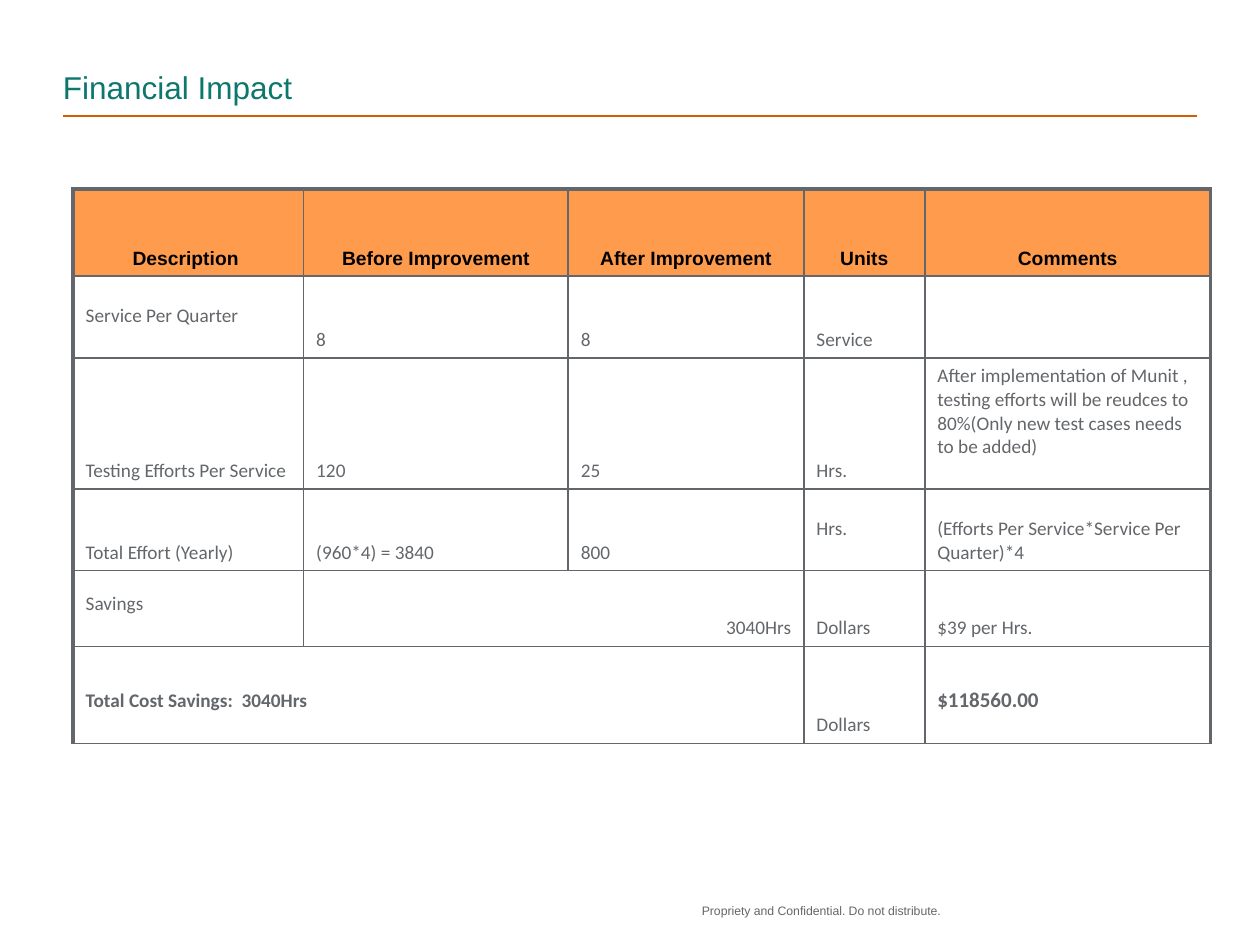
from lxml.etree import SubElement
from pptx import Presentation
from pptx.dml.color import RGBColor
from pptx.enum.shapes import MSO_CONNECTOR
from pptx.enum.text import MSO_ANCHOR as Anchor, PP_ALIGN as Align
from pptx.oxml.ns import qn
from pptx.util import Inches, Pt

GREY = RGBColor(0x63, 0x66, 0x6A)
TEAL = RGBColor(0x0D, 0x77, 0x6E)
RUST = RGBColor(0xD4, 0x5D, 0x00)
ORANGE = RGBColor(0xFF, 0x9B, 0x4C)
BLACK = RGBColor(0, 0, 0)

COLUMN_WIDTHS = [1.83, 2.1, 1.87, 0.96, 2.27]
ROW_HEIGHTS = [0.69, 0.65, 1.04, 0.65, 0.6, 0.77]
ROWS = [
    ["Description\u00a0", "Before Improvement", "After Improvement", "Units", "Comments"],
    ["Service Per Quarter", "8", "8", "Service", ""],
    ["Testing Efforts Per Service", "120", "25", "Hrs.",
     "After implementation of Munit , testing efforts will be reudces to "
     "80%(Only new test cases needs to be added)"],
    ["Total Effort (Yearly)", "(960*4) = 3840", "800", "Hrs.",
     "(Efforts Per Service*Service Per Quarter)*4"],
    ["Savings", "3040Hrs", "", "Dollars", "$39 per Hrs."],
    ["Total Cost Savings:  3040Hrs", "", "", "Dollars", "$118560.00"],
]
MERGES = [((4, 1), (4, 2)), ((5, 0), (5, 2))]
RAISED_CELLS = {(1, 0), (2, 4), (3, 3), (4, 0), (5, 0), (5, 4)}
BOLD_CELLS = {(5, 0), (5, 4)}


def add_run(paragraph, text, size, color, font="Arial", bold=False):
    """Add one formatted run to a paragraph."""
    run = paragraph.add_run()
    run.text = text
    run.font.name, run.font.size, run.font.bold = font, Pt(size), bold
    run.font.color.rgb = color


def add_label(slide, box, text, size, color, anchor=Anchor.TOP, wrap=True):
    """Add a text box without insets."""
    frame = slide.shapes.add_textbox(*map(Inches, box)).text_frame
    frame.margin_left = frame.margin_right = frame.margin_top = frame.margin_bottom = 0
    frame.word_wrap = wrap
    frame.vertical_anchor = anchor
    add_run(frame.paragraphs[0], text, size, color)


def add_heading(slide, left, top, width, height):
    """Add the title with the rule beneath it."""
    add_label(slide, (left, top, width, height), "Financial Impact", 18, TEAL, Anchor.BOTTOM)
    rule_top = Inches(top + height + 0.08)
    rule = slide.shapes.add_connector(
        MSO_CONNECTOR.STRAIGHT, Inches(left), rule_top, Inches(left + width), rule_top)
    rule.line.color.rgb, rule.line.width = RUST, Pt(1)
    SubElement(rule._element.spPr, qn("a:effectLst"))


def set_borders(cell, widths):
    """Draw the cell's left, right, top and bottom edges in grey."""
    properties = cell._tc.get_or_add_tcPr()
    for side, width in zip("LRTB", widths):
        line = SubElement(properties, qn(f"a:ln{side}"), w=str(Pt(width)))
        fill = SubElement(line, qn("a:solidFill"))
        SubElement(fill, qn("a:srgbClr"), val=str(GREY))


def fill_cell(cell, row, column, text):
    """Write and format one cell of the impact table."""
    header = row == 0
    last = len(COLUMN_WIDTHS) - 1
    set_borders(cell, [2.25 if column == 0 else 1, 2.25 if column == last else 1,
                       2.25 if header else 1, 1])
    cell.vertical_anchor = Anchor.BOTTOM
    cell.margin_bottom = Inches(0.24 if (row, column) in RAISED_CELLS else 0.05)
    paragraph = cell.text_frame.paragraphs[0]
    if header:
        cell.fill.solid()
        cell.fill.fore_color.rgb = ORANGE
        paragraph.alignment, paragraph.line_spacing = Align.CENTER, 0.95
        add_run(paragraph, text, 11, BLACK, bold=True)
        return
    cell.fill.background()
    paragraph.alignment = Align.RIGHT if (row, column) == (4, 1) else Align.LEFT
    if text:
        size = 12 if (row, column) == (5, 4) else 11
        add_run(paragraph, text, size, GREY, "Calibri", (row, column) in BOLD_CELLS)


def add_impact_table(slide, left, top):
    """Add the table comparing effort before and after."""
    table = slide.shapes.add_table(
        len(ROWS), len(COLUMN_WIDTHS), Inches(left), Inches(top),
        Inches(sum(COLUMN_WIDTHS)), Inches(sum(ROW_HEIGHTS))).table
    table.horz_banding = table.first_row = False
    for column, width in zip(table.columns, COLUMN_WIDTHS):
        column.width = Inches(width)
    for row, height in zip(table.rows, ROW_HEIGHTS):
        row.height = Inches(height)
    for first, final in MERGES:
        table.cell(*first).merge(table.cell(*final))
    for row, texts in enumerate(ROWS):
        for column, text in enumerate(texts):
            cell = table.cell(row, column)
            if not cell.is_spanned:
                fill_cell(cell, row, column, text)


def build():
    """Build and save the presentation."""
    presentation = Presentation()
    presentation.slide_width, presentation.slide_height = Inches(10), Inches(7.5)
    slide = presentation.slides.add_slide(presentation.slide_layouts[6])
    add_heading(slide, 0.5, 0.17, 9, 0.67)
    add_impact_table(slide, 0.58, 1.5)
    add_label(slide, (5.57, 7.17, 2.08, 0.25),
              "Propriety and Confidential. Do not distribute.", 7, GREY, wrap=False)
    presentation.save("out.pptx")


build()
